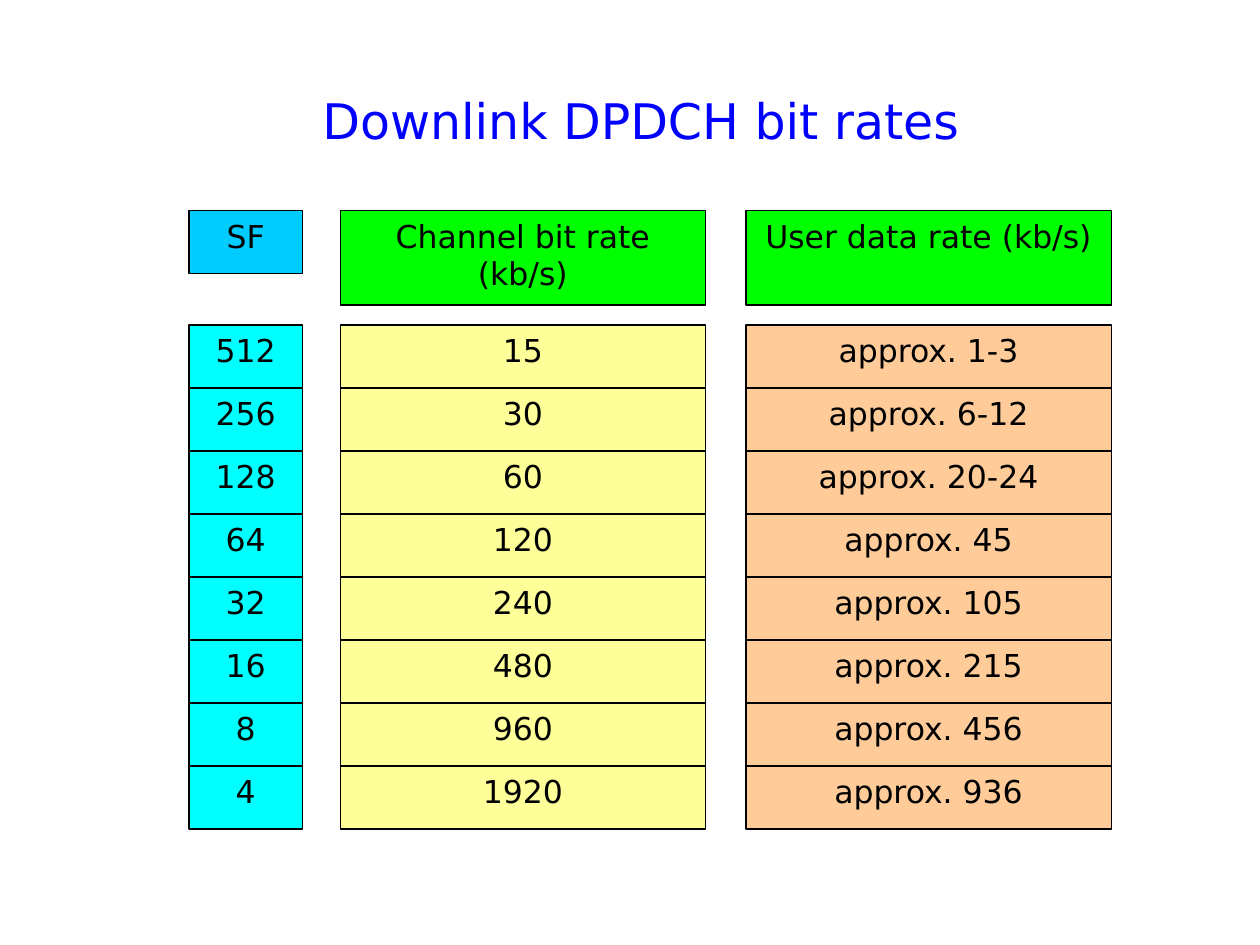
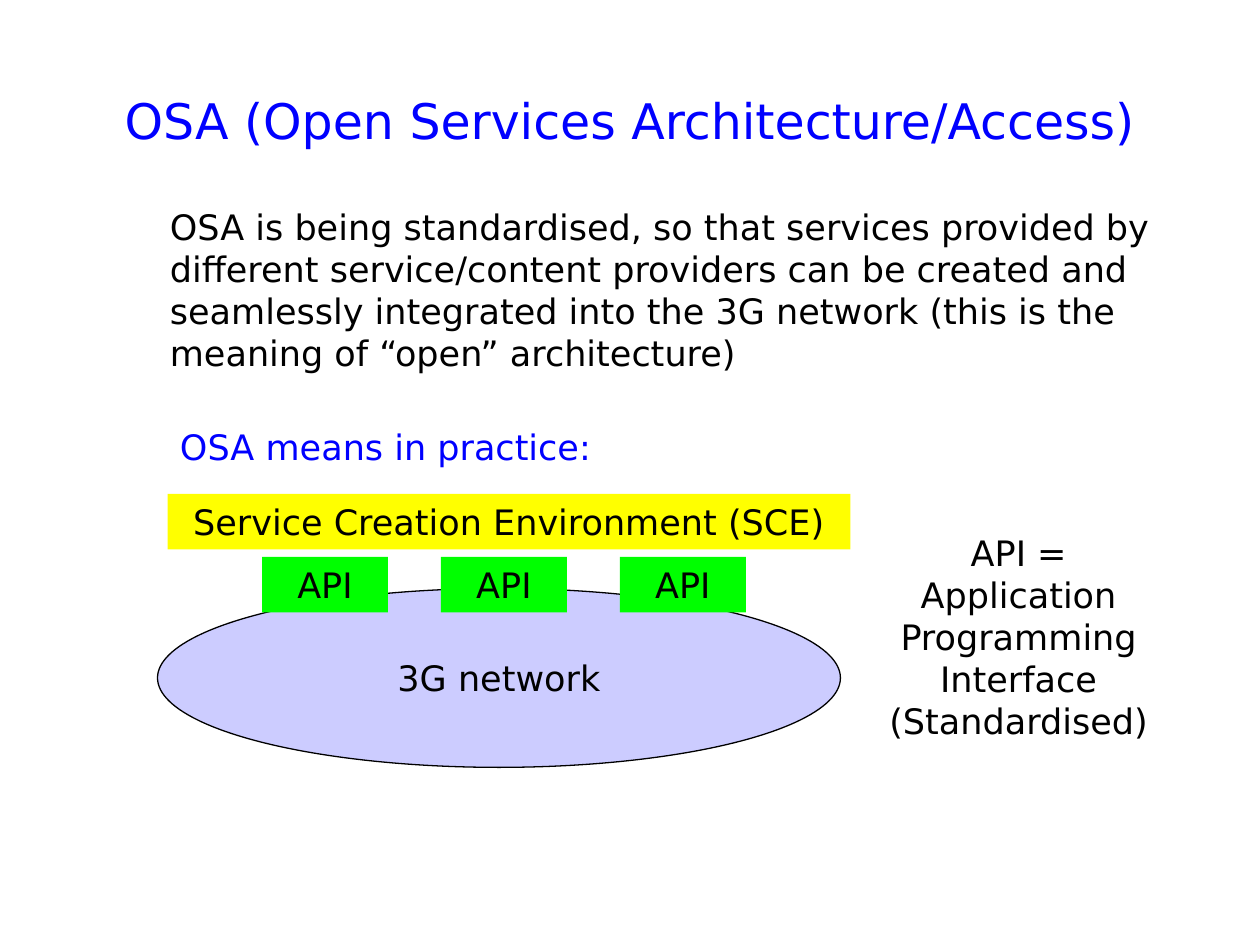
from dataclasses import dataclass

import pptx
import pptx.dml.color
import pptx.enum.shapes
import pptx.enum.text
import pptx.util

Inches = pptx.util.Inches
Align = pptx.enum.text.PP_ALIGN
Anchor = pptx.enum.text.MSO_ANCHOR
Preset = pptx.enum.shapes.MSO_SHAPE


@dataclass(frozen=True)
class Theme:
    font: str = "DejaVu Sans"
    title_size: int = 28
    body_size: int = 20
    cell_size: int = 18
    outline_width: float = 0.75
    ink: str = "000000"
    accent: str = "0000FF"
    sf_header: str = "00CCFF"
    sf_cell: str = "00FFFF"
    rate_header: str = "00FF00"
    channel_cell: str = "FFFF99"
    user_cell: str = "FFCC99"
    environment: str = "FFFF00"
    interface: str = "00FF00"
    network: str = "CCCCFF"


THEME = Theme()


def rgb(value):
    return pptx.dml.color.RGBColor.from_string(value)


def write(shape, text, size, color=THEME.ink, align=Align.CENTER, anchor=Anchor.TOP, wrap=True):
    frame = shape.text_frame
    frame.text = text
    frame.word_wrap = wrap
    frame.auto_size = pptx.enum.text.MSO_AUTO_SIZE.NONE
    frame.vertical_anchor = anchor
    paragraph = frame.paragraphs[0]
    paragraph.alignment = align
    for run in paragraph.runs:
        run.font.name = THEME.font
        run.font.size = pptx.util.Pt(size)
        run.font.color.rgb = rgb(color)


def add_title(slide, text, left):
    title = slide.shapes.title
    title.left, title.top = Inches(left), Inches(0.67)
    title.width, title.height = Inches(8.83), Inches(0.57)
    write(title, text, THEME.title_size, THEME.accent)


def add_box(slide, box, text, fill, size, preset=Preset.RECTANGLE, outlined=True, **text_options):
    shape = slide.shapes.add_shape(preset, *map(Inches, box))
    shape.shadow.inherit = False
    shape.fill.solid()
    shape.fill.fore_color.rgb = rgb(fill)
    if outlined:
        shape.line.color.rgb = rgb(THEME.ink)
        shape.line.width = pptx.util.Pt(THEME.outline_width)
    else:
        shape.line.fill.background()
    write(shape, text, size, **text_options)


def add_text(slide, box, text, **text_options):
    write(slide.shapes.add_textbox(*map(Inches, box)), text, THEME.body_size, **text_options)


def add_rate_column(slide, box, header, header_height, header_fill, values, cell_fill):
    """A header with a stack of equal cells that ends at the foot of the box."""
    left, top, width, height = box
    cell_height = 0.5
    first_cell = top + height - cell_height * len(values)
    add_box(slide, (left, top, width, header_height), header, header_fill, THEME.cell_size)
    for row, value in enumerate(values):
        cell = (left, first_cell + row * cell_height, width, cell_height)
        add_box(slide, cell, value, cell_fill, THEME.cell_size)


def build_bit_rates(slide):
    add_title(slide, "Downlink DPDCH bit rates", 0.67)
    top, height = 1.67, 4.91

    # Spreading factors halve while channel bit rates double
    rows = range(8)
    factors = [str(512 >> row) for row in rows]
    channel_rates = [str(15 << row) for row in rows]
    user_rates = [f"approx. {rate}" for rate in
                  ("1-3", "6-12", "20-24", "45", "105", "215", "456", "936")]

    add_rate_column(slide, (1.5, top, 0.9, height), "SF", 0.5,
                    THEME.sf_header, factors, THEME.sf_cell)
    add_rate_column(slide, (2.7, top, 2.9, height), "Channel bit rate (kb/s)", 0.75,
                    THEME.rate_header, channel_rates, THEME.channel_cell)
    add_rate_column(slide, (5.92, top, 2.9, height), "User data rate (kb/s)", 0.75,
                    THEME.rate_header, user_rates, THEME.user_cell)


def add_architecture(slide, box):
    """Service environment over API blocks that plug into the network."""
    left, top, width, height = box
    layer_width, layer_height = width - 0.08, 0.44

    # Network
    network_height = 1.42
    add_box(slide, (left, top + height - network_height, layer_width, network_height),
            "3G network", THEME.network, THEME.body_size, Preset.OVAL,
            anchor=Anchor.MIDDLE, wrap=False)

    # Interfaces
    for index in range(3):
        add_box(slide, (left + 0.83 + index * 1.42, top + 0.5, 1, layer_height),
                "API", THEME.interface, THEME.body_size, outlined=False)

    # Service environment
    add_box(slide, (left + 0.08, top, layer_width, layer_height),
            "Service Creation Environment (SCE)", THEME.environment,
            THEME.body_size, outlined=False)


def build_osa(slide):
    add_title(slide, "OSA (Open Services Architecture/Access)", 0.58)
    add_text(slide, (1.25, 1.58, 8, 1.44),
             "OSA is being standardised, so that services provided by different "
             "service/content providers can be created and seamlessly integrated into "
             "the 3G network (this is the meaning of “open” architecture)",
             align=Align.LEFT)
    add_text(slide, (1.33, 3.33, 3.92, 0.44), "OSA means in practice:",
             color=THEME.accent, align=Align.LEFT)
    add_architecture(slide, (1.25, 3.92, 5.5, 2.17))
    add_text(slide, (6.92, 4.17, 2.33, 1.77),
             "API = Application Programming Interface (Standardised)")


def main():
    deck = pptx.Presentation()
    deck.slide_width, deck.slide_height = Inches(10), Inches(7.5)
    title_only = deck.slide_layouts[5]
    for build in (build_bit_rates, build_osa):
        build(deck.slides.add_slide(title_only))
    deck.save("out.pptx")


if __name__ == "__main__":
    main()
